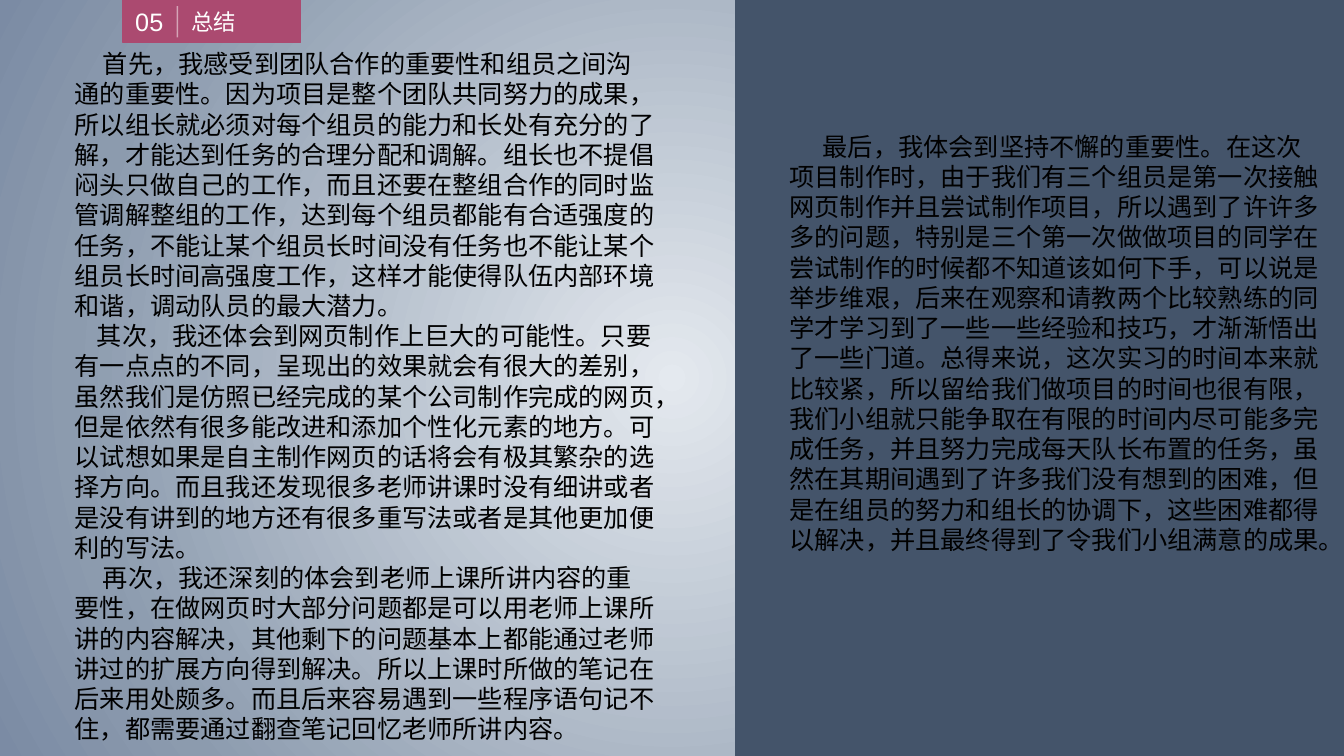
from pptx import Presentation
from pptx.dml.color import RGBColor
from pptx.enum.shapes import MSO_CONNECTOR, MSO_SHAPE
from pptx.enum.text import MSO_ANCHOR, MSO_AUTO_SIZE, PP_ALIGN
from pptx.oxml import parse_xml
from pptx.oxml.ns import nsdecls, qn
from pptx.util import Inches, Pt
from lxml.etree import SubElement

SLATE = RGBColor(0x44, 0x54, 0x6A)
ROSE = RGBColor(0xAB, 0x4A, 0x70)
WHITE = RGBColor(0xFF, 0xFF, 0xFF)
BLACK = RGBColor(0, 0, 0)
GLOW = [(0, RGBColor(0xE4, 0xE9, 0xEF)),
        (78, RGBColor(0x8C, 0x9B, 0xAE)),
        (100, RGBColor(0x7B, 0x8B, 0xA4))]

# Each paragraph: first-line indent in inches, text
LESSONS = [
    (0.28, "首先，我感受到团队合作的重要性和组员之间沟通的重要性。因为项目是整个团队共同努力的成果，"
           "所以组长就必须对每个组员的能力和长处有充分的了解，才能达到任务的合理分配和调解。"
           "组长也不提倡闷头只做自己的工作，而且还要在整组合作的同时监管调解整组的工作，"
           "达到每个组员都能有合适强度的任务，不能让某个组员长时间没有任务也不能让某个组员"
           "长时间高强度工作，这样才能使得队伍内部环境和谐，调动队员的最大潜力。"),
    (0.22, "其次，我还体会到网页制作上巨大的可能性。只要有一点点的不同，呈现出的效果就会有很大的差别，"
           "虽然我们是仿照已经完成的某个公司制作完成的网页，但是依然有很多能改进和添加个性化元素的地方。"
           "可以试想如果是自主制作网页的话将会有极其繁杂的选择方向。而且我还发现很多老师讲课时"
           "没有细讲或者是没有讲到的地方还有很多重写法或者是其他更加便利的写法。"),
    (0.28, "再次，我还深刻的体会到老师上课所讲内容的重要性，在做网页时大部分问题都是可以用老师上课"
           "所讲的内容解决，其他剩下的问题基本上都能通过老师讲过的扩展方向得到解决。"
           "所以上课时所做的笔记在后来用处颇多。而且后来容易遇到一些程序语句记不住，"
           "都需要通过翻查笔记回忆老师所讲内容。"),
]
CLOSING = [
    (0.33, "最后，我体会到坚持不懈的重要性。在这次项目制作时，由于我们有三个组员是第一次接触网页制作"
           "并且尝试制作项目，所以遇到了许许多多的问题，特别是三个第一次做做项目的同学在尝试制作的时候"
           "都不知道该如何下手，可以说是举步维艰，后来在观察和请教两个比较熟练的同学才学习到了"
           "一些一些经验和技巧，才渐渐悟出了一些门道。总得来说，这次实习的时间本来就比较紧，"
           "所以留给我们做项目的时间也很有限，我们小组就只能争取在有限的时间内尽可能多完成任务，"
           "并且努力完成每天队长布置的任务，虽然在其期间遇到了许多我们没有想到的困难，"
           "但是在组员的努力和组长的协调下，这些困难都得以解决，并且最终得到了令我们小组满意的成果。"),
]


def set_attrs(obj, values):
    for name, value in values.items():
        setattr(obj, name, value)


def place(sp, left, top, width, height):
    set_attrs(sp, {"left": Inches(left), "top": Inches(top),
                   "width": Inches(width), "height": Inches(height)})


def add_run(p, text, size, color):
    r = p.add_run()
    r.text = text
    set_attrs(r.font, {"name": "Arial", "size": Pt(size), "bold": False})
    r.font.color.rgb = color
    r._r.get_or_add_rPr().set("lang", "zh-CN")


def set_background(s):
    s.background.fill.solid()
    bg = s._element.find(".//" + qn("p:bgPr"))
    stops = "".join(f'<a:gs pos="{pos * 1000}"><a:srgbClr val="{color}"/></a:gs>'
                    for pos, color in GLOW)
    bg.replace(bg[0], parse_xml(
        f'<a:gradFill {nsdecls("a")} rotWithShape="1"><a:gsLst>{stops}</a:gsLst>'
        '<a:path path="circle"><a:fillToRect l="50000" t="50000" r="50000" b="50000"/>'
        '</a:path></a:gradFill>'))


def add_panel(s, box, color, depth):
    """Filled rectangle, moved behind the text at the given depth."""
    sp = s.shapes.add_shape(MSO_SHAPE.RECTANGLE, *map(Inches, box))
    sp.shadow.inherit = False
    sp.fill.solid()
    sp.fill.fore_color.rgb = color
    sp.line.color.rgb = color
    sp.line.width = Pt(1)
    s.shapes._spTree.insert(2 + depth, sp._element)


def add_divider(s, x, top, bottom):
    line = s.shapes.add_connector(MSO_CONNECTOR.STRAIGHT, *map(Inches, (x, top, x, bottom)))
    line.line.color.rgb = WHITE
    line.line.width = Pt(1)
    SubElement(line._element.find(".//" + qn("a:srgbClr")), qn("a:alpha"), val="49000")
    SubElement(line._element.spPr, qn("a:effectLst"))


def fill_label(sp, box, text, size, align):
    place(sp, *box)
    tf = sp.text_frame
    set_attrs(tf, {"word_wrap": True, "auto_size": MSO_AUTO_SIZE.NONE,
                   "vertical_anchor": MSO_ANCHOR.MIDDLE})
    p = tf.paragraphs[0]
    p.alignment = align
    add_run(p, text, size, WHITE)


def fill_body(sp, box, paragraphs):
    place(sp, *box)
    tf = sp.text_frame
    set_attrs(tf, {"word_wrap": True, "auto_size": MSO_AUTO_SIZE.NONE,
                   "vertical_anchor": MSO_ANCHOR.TOP})
    for i, (indent, text) in enumerate(paragraphs):
        p = tf.add_paragraph() if i else tf.paragraphs[0]
        set_attrs(p, {"space_before": Pt(0), "space_after": Pt(0),
                      "alignment": PP_ALIGN.LEFT})
        pPr = p._p.get_or_add_pPr()
        pPr.set("marL", "0")
        pPr.set("indent", str(Inches(indent)))
        SubElement(pPr, qn("a:buNone"))
        add_run(p, text, 18, BLACK)


def main():
    prs = Presentation()
    set_attrs(prs, {"slide_width": Inches(13.33), "slide_height": Inches(7.5)})
    s = prs.slides.add_slide(prs.slide_layouts[3])
    set_background(s)

    # Right half and section tag
    add_panel(s, (7.3, 0, 6.03, 7.5), SLATE, 0)
    add_panel(s, (1.22, 0, 1.76, 0.42), ROSE, 1)

    # Section number, divider and title
    number = s.shapes.add_textbox(0, 0, 0, 0)
    fill_label(number, (1.22, 0.01, 0.52, 0.4), "05", 18, PP_ALIGN.CENTER)
    add_divider(s, 1.76, 0.06, 0.37)
    fill_label(s.shapes.title, (1.8, 0.03, 1.18, 0.37), "总结", 16, PP_ALIGN.LEFT)

    # Summary text
    fill_body(s.placeholders[1], (0.64, 0.43, 5.98, 7.07), LESSONS)
    fill_body(s.placeholders[2], (7.73, 1.25, 5.53, 4.35), CLOSING)

    prs.save("out.pptx")


if __name__ == "__main__":
    main()
